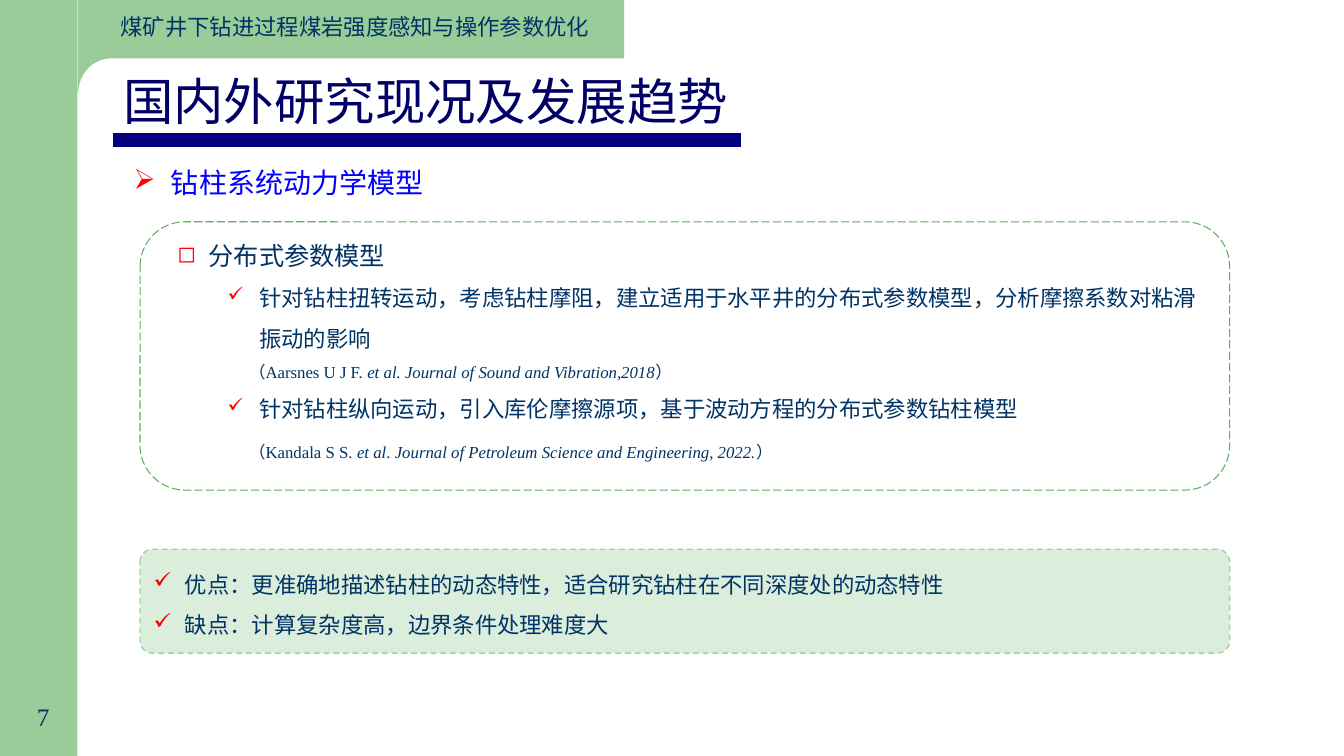
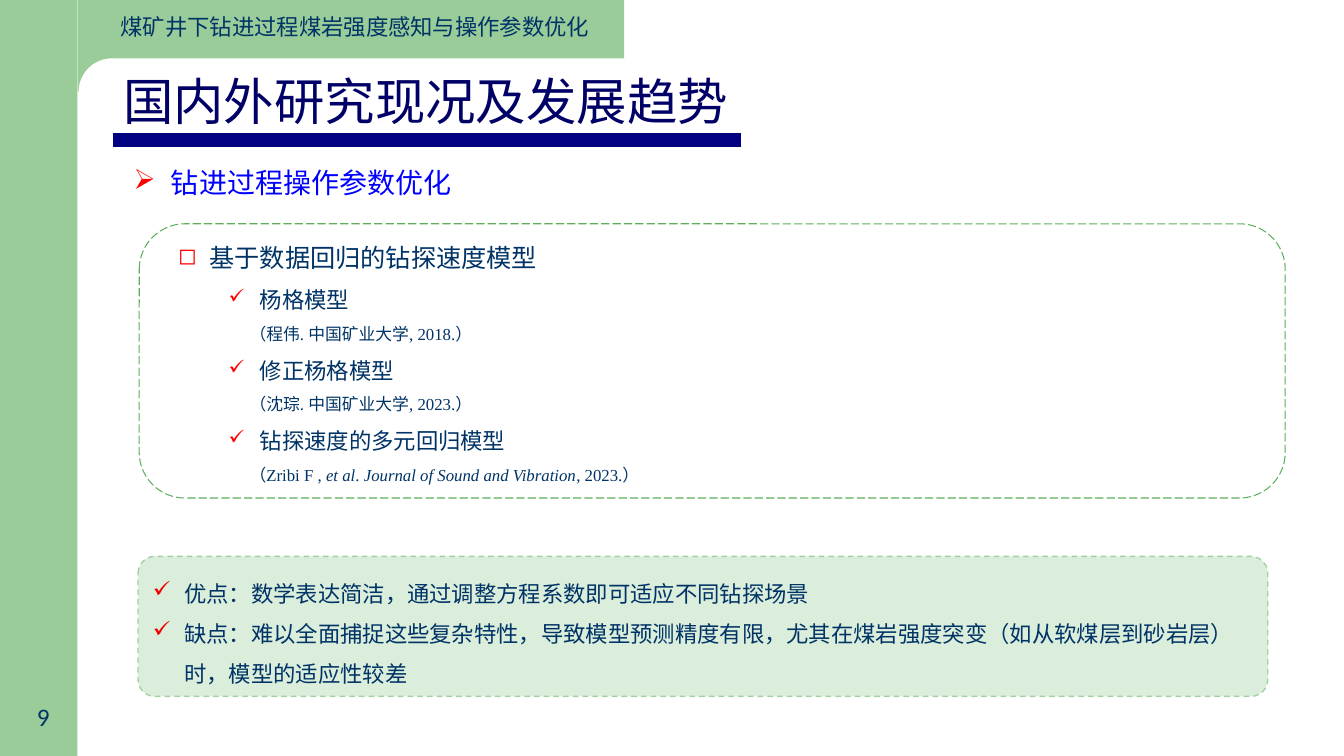
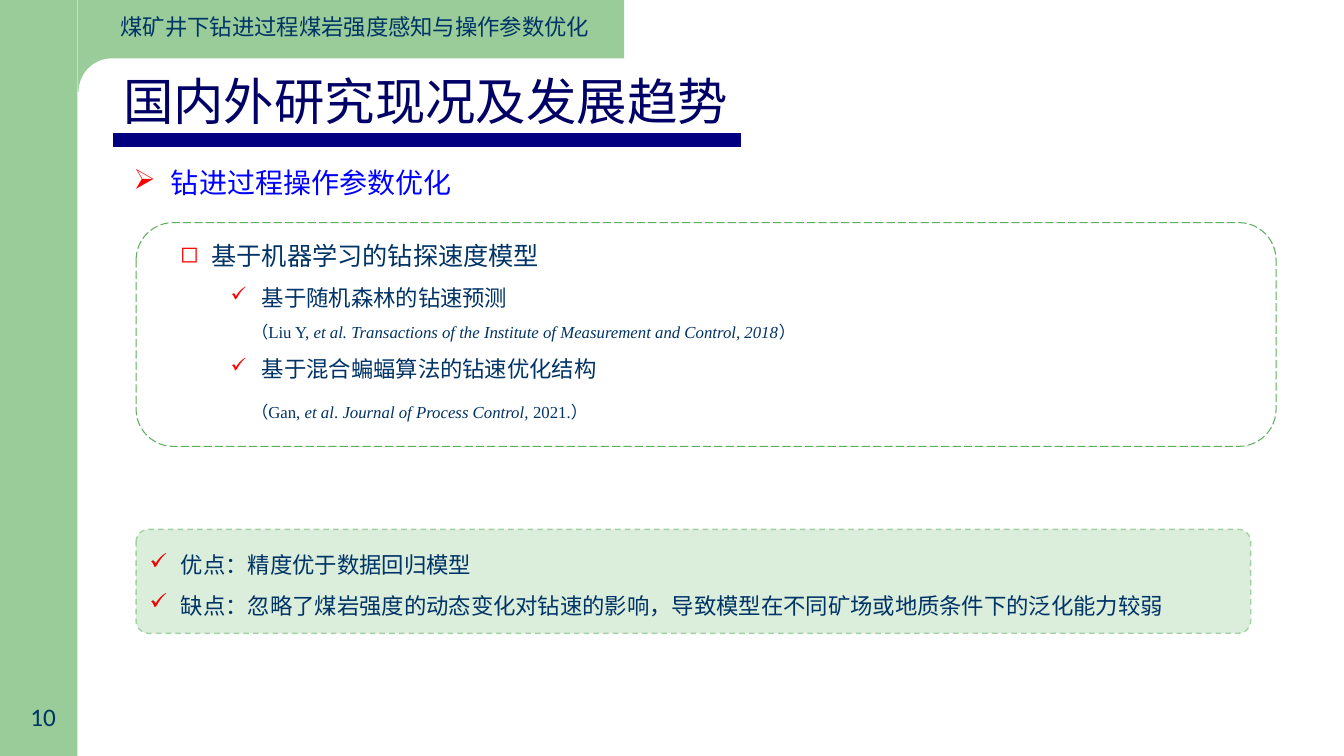
"""Builds three slides on drilling models, with a shared green frame."""
from lxml.etree import SubElement
from pptx import Presentation
from pptx.dml.color import RGBColor
from pptx.enum.dml import MSO_LINE
from pptx.enum.shapes import MSO_CONNECTOR, MSO_SHAPE
from pptx.enum.text import MSO_ANCHOR, PP_ALIGN
from pptx.oxml.ns import qn
from pptx.util import Cm, Pt

GREEN = RGBColor(0x99, 0xCC, 0x99)
PALE = RGBColor(0xDB, 0xED, 0xDB)
EDGE = RGBColor(0xA3, 0xD1, 0xA3)
FRAME = RGBColor(0x5D, 0xAE, 0x5D)
WHITE = RGBColor(0xFF, 0xFF, 0xFF)
INK = RGBColor(0x00, 0x33, 0x66)
DEEP = RGBColor(0x00, 0x00, 0x66)
NAVY = RGBColor(0x00, 0x00, 0x80)
BLUE = RGBColor(0x00, 0x00, 0xFF)
RED = RGBColor(0xFF, 0x00, 0x00)
CRIMSON = RGBColor(0xEE, 0x00, 0x00)
HAN = "Noto Sans CJK SC"
ROMAN = "Times New Roman"

# Style: size, colour, left margin, hanging indent, line spacing, bullet, bullet colour, bullet percent
STYLES = {
    "plain": (16, INK, 0, 0, 1, None, None, 100),
    "title": (36, DEEP, 0, 0, 1, None, None, 100),
    "page": (18, INK, 0, 0, 1, None, None, 100),
    "head": (20, BLUE, 0.94, 0.94, 1.5, "➢", RED, 100),
    "model": (18, INK, 0.79, 0.79, 1.5, "◻", RED, 90),
    "point": (16, INK, 2.06, 0.79, 1.5, "✓", RED, 90),
    "cite": (12, INK, 1.8, 0, 1.5, None, None, 100),
    "last": (12, INK, 1.8, 0, 2, None, None, 100),
    "verdict": (16, INK, 0.79, 0.79, 1.5, "✓", CRIMSON, 100),
}

SLIDES = [
    {
        "page": "7", "face": ROMAN, "head": "钻柱系统动力学模型",
        "frame": (3.53, 5.59, 27.46, 6.76),
        "body": (4.22, 5.56, 26.42, 6.17),
        "panel": (3.53, 13.84, 27.46, 2.62),
        "lines": [
            ("model", "分布式参数模型"),
            ("point", "针对钻柱扭转运动，考虑钻柱摩阻，建立适用于水平井的分布式参数模型，分析摩擦系数对粘滑振动的影响"),
            ("cite", "（Aarsnes U J F. ", "et al. Journal of Sound and Vibration,2018", "）"),
            ("point", "针对钻柱纵向运动，引入库伦摩擦源项，基于波动方程的分布式参数钻柱模型"),
            ("last", "（Kandala S S. ", "et al", ". ",
             "Journal of Petroleum Science and Engineering, 2022.", "）"),
        ],
        "verdicts": ["优点：更准确地描述钻柱的动态特性，适合研究钻柱在不同深度处的动态特性",
                     "缺点：计算复杂度高，边界条件处理难度大"],
    },
    {
        "page": "9", "face": "Calibri", "head": "钻进过程操作参数优化",
        "frame": (3.51, 5.64, 28.88, 6.91),
        "body": (4.24, 5.61, 28.47, 6.71),
        "panel": (3.48, 14.02, 28.47, 3.53),
        "lines": [
            ("model", "基于数据回归的钻探速度模型"),
            ("point", "杨格模型"),
            ("cite", "（程伟. 中国矿业大学, 2018.）"),
            ("point", "修正杨格模型"),
            ("cite", "（沈琮. 中国矿业大学, 2023.）"),
            ("point", "钻探速度的多元回归模型"),
            ("cite", "（Zribi F ,", " et al", ". ", "Journal of Sound and Vibration", ", 2023.）"),
        ],
        "verdicts": ["优点：数学表达简洁，通过调整方程系数即可适应不同钻探场景",
                     "缺点：难以全面捕捉这些复杂特性，导致模型预测精度有限，尤其在煤岩强度突变（如从软煤层到砂岩层）时，模型的适应性较差"],
    },
    {
        "page": "10", "face": "Calibri", "head": "钻进过程操作参数优化",
        "frame": (3.43, 5.61, 28.73, 5.64),
        "body": (4.29, 5.56, 27.46, 5.13),
        "panel": (3.43, 13.34, 28.09, 2.62),
        "lines": [
            ("model", "基于机器学习的钻探速度模型"),
            ("point", "基于随机森林的钻速预测"),
            ("cite", "（Liu Y, ",
             "et al. Transactions of the Institute of Measurement and Control, 2018", "）"),
            ("point", "基于混合蝙蝠算法的钻速优化结构"),
            ("last", "（Gan, ", "et al", ". ", "Journal of Process Control, ", "2021.）"),
        ],
        "verdicts": ["优点：精度优于数据回归模型",
                     "缺点：忽略了煤岩强度的动态变化对钻速的影响，导致模型在不同矿场或地质条件下的泛化能力较弱"],
    },
]


def write(frame, style, *parts, face=ROMAN, align=PP_ALIGN.LEFT):
    """Add one paragraph; every second part is italic."""
    size, ink, left, hang, space, mark, tint, scale = STYLES[style]
    frame.word_wrap = True
    frame.vertical_anchor = MSO_ANCHOR.TOP
    para = frame.paragraphs[0]
    if para.runs:
        para = frame.add_paragraph()
    para.alignment = align
    para.line_spacing = space
    props = para._p.get_or_add_pPr()
    props.set("marL", str(Cm(left)))
    props.set("indent", str(-Cm(hang)))
    if mark:
        color = SubElement(props, qn("a:buClr"))
        SubElement(color, qn("a:srgbClr"), val=str(tint))
        SubElement(props, qn("a:buSzPct"), val=str(scale * 1000))
        SubElement(props, qn("a:buChar"), char=mark)
    for rank, part in enumerate(parts):
        run = para.add_run()
        run.text = part
        run.font.size = Pt(size)
        run.font.italic = rank % 2 == 1
        run.font.color.rgb = ink
        run.font.name = face
        SubElement(run.font._element, qn("a:ea"), typeface=HAN)
    return para


def draw(slide, kind, place, fill=None, line=None, width=1, dash=None):
    """Add a preset shape without shadow."""
    shape = slide.shapes.add_shape(kind, *map(Cm, place))
    shape.shadow.inherit = False
    if fill is None:
        shape.fill.background()
    else:
        shape.fill.solid()
        shape.fill.fore_color.rgb = fill
    if line is None:
        shape.line.fill.background()
    else:
        shape.line.color.rgb = line
        shape.line.width = Pt(width)
        shape.line.dash_style = dash
    return shape


deck = Presentation()
deck.slide_width, deck.slide_height = Cm(33.87), Cm(19.05)
layout = deck.slide_layouts[5]
for holder in list(layout.placeholders)[1:]:
    holder.element.getparent().remove(holder.element)

for rank, data in enumerate(SLIDES):
    slide = deck.slides.add_slide(layout)
    shapes = slide.shapes

    if rank == 0:
        side = draw(slide, MSO_SHAPE.RECTANGLE, (-0.03, 0, 1.98, 19.05), GREEN)
        band = draw(slide, MSO_SHAPE.RECTANGLE, (1.96, -0.03, 13.77, 2.34), GREEN)
        curve = draw(slide, MSO_SHAPE.ROUNDED_RECTANGLE, (1.98, 1.47, 18.9, 1.7), WHITE)
        curve.adjustments[0] = 0.5
        topic = shapes.add_textbox(Cm(2.79), Cm(0.2), Cm(12.75), Cm(0.94))
        write(topic.text_frame, "plain", "煤矿井下钻进过程煤岩强度感知与操作参数优化", face=HAN)
        rule = shapes.add_connector(MSO_CONNECTOR.STRAIGHT, Cm(2.84), Cm(3.53), Cm(18.67), Cm(3.53))
        rule.line.color.rgb = NAVY
        rule.line.width = Pt(10)
        SubElement(rule.element.spPr, qn("a:effectLst"))
        for part in (side, band, curve, topic, rule):
            layout.shapes.element.append(part.element)

    title = shapes.title
    title.left, title.top, title.width, title.height = map(Cm, (2.85, 1.63, 19.56, 1.8))
    write(title.text_frame, "title", "国内外研究现况及发展趋势", face=HAN)

    page = shapes.add_textbox(Cm(0), Cm(17.55), Cm(2.18), Cm(1.02))
    write(page.text_frame, "page", data["page"], face=data["face"], align=PP_ALIGN.CENTER)

    head = shapes.add_textbox(Cm(3.12), Cm(3.63), Cm(20.9), Cm(1.38))
    para = write(head.text_frame, "head", data["head"], align=PP_ALIGN.JUSTIFY)
    para.space_before = para.space_after = Pt(6)

    draw(slide, MSO_SHAPE.ROUNDED_RECTANGLE, data["frame"], None, FRAME, 0.75, MSO_LINE.LONG_DASH)
    body = shapes.add_textbox(*map(Cm, data["body"]))
    for style, *parts in data["lines"]:
        write(body.text_frame, style, *parts)

    panel = draw(slide, MSO_SHAPE.ROUNDED_RECTANGLE, data["panel"], PALE, EDGE, 1, MSO_LINE.DASH)
    panel.adjustments[0] = 0.12
    for verdict in data["verdicts"]:
        write(panel.text_frame, "verdict", verdict)

deck.save("out.pptx")
